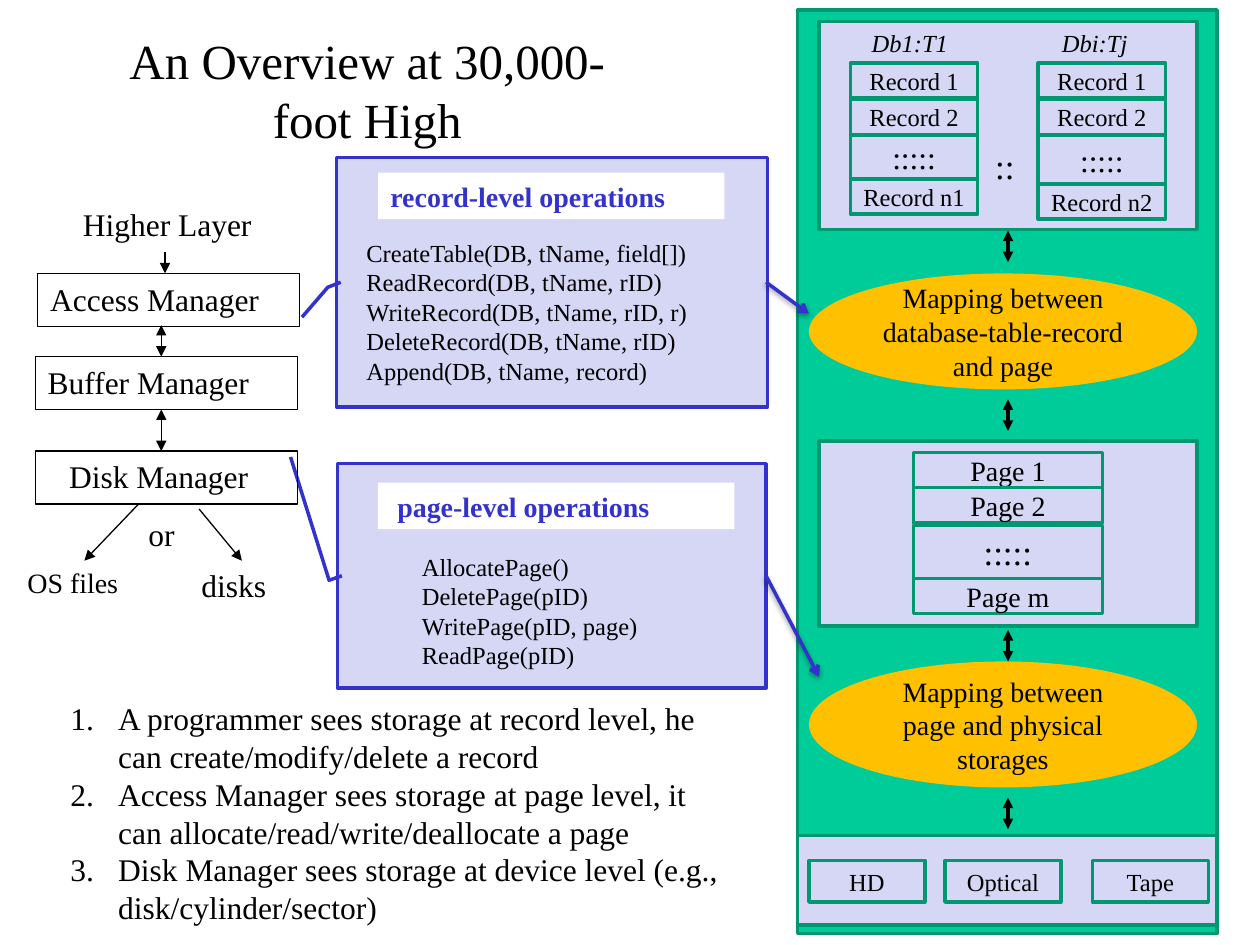
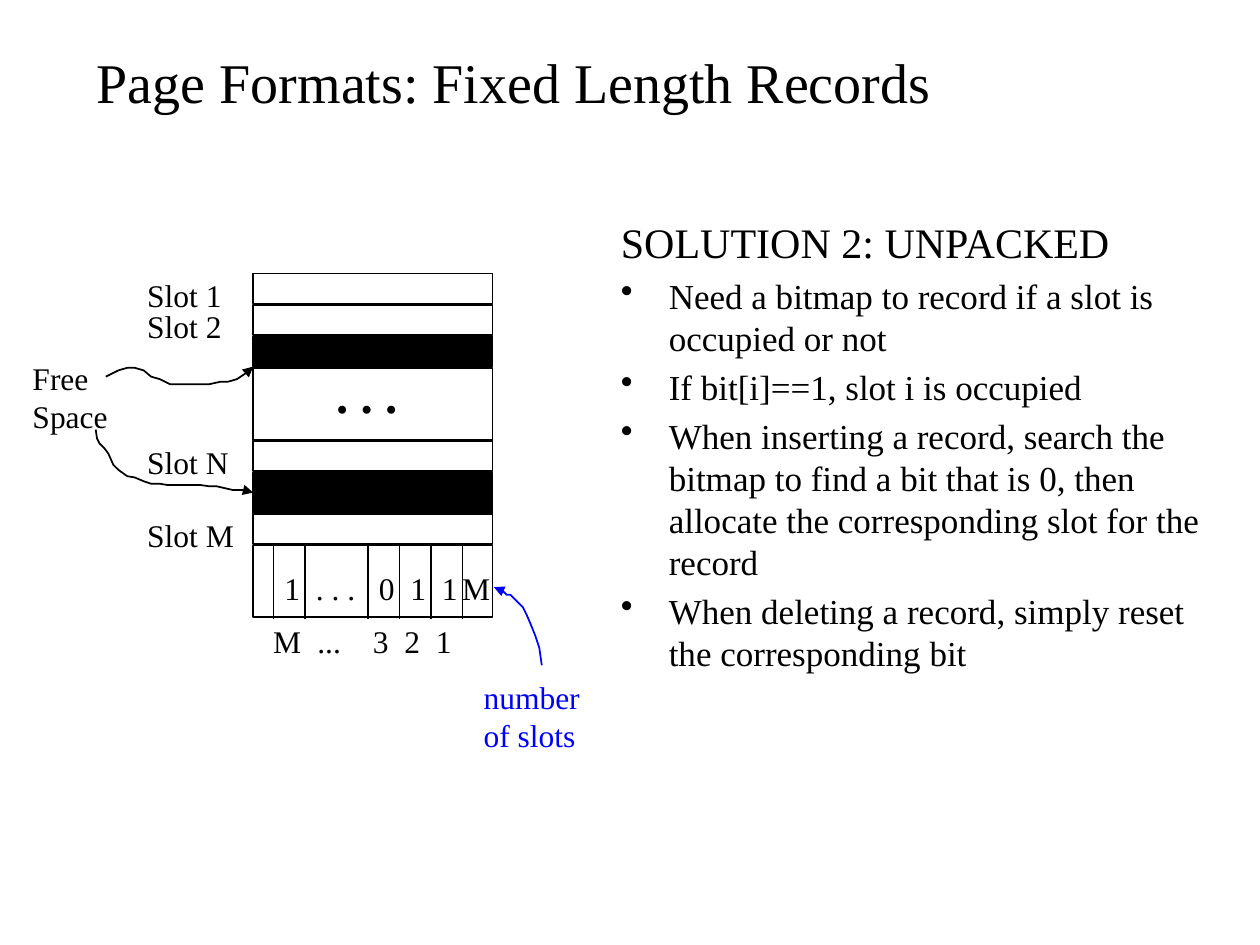
"""Build two slides: a storage overview and a fixed-length page format."""
from itertools import accumulate

from lxml import etree
from pptx import Presentation
from pptx.dml.color import RGBColor
from pptx.enum.shapes import MSO_CONNECTOR, MSO_SHAPE
from pptx.enum.text import MSO_ANCHOR, MSO_AUTO_SIZE, PP_ALIGN
from pptx.oxml import parse_xml
from pptx.oxml.ns import nsdecls, qn
from pptx.util import Pt

SCALE = 9144
FONT = "Times New Roman"
BLACK = RGBColor(0, 0, 0)
WHITE = RGBColor(255, 255, 255)
BLUE = RGBColor(0, 0, 255)
NAVY = RGBColor(0x33, 0x33, 0xCC)
PALE = RGBColor(0xD6, 0xD6, 0xF5)
GREEN = RGBColor(0x00, 0xCC, 0x99)
TEAL = RGBColor(0x00, 0x97, 0x71)
GOLD = RGBColor(0xFF, 0xC0, 0x00)
RECT, OVAL = MSO_SHAPE.RECTANGLE, MSO_SHAPE.OVAL
CALLOUT = MSO_SHAPE.LINE_CALLOUT_2
LEFT, CENTER = PP_ALIGN.LEFT, PP_ALIGN.CENTER
TOP, MIDDLE = MSO_ANCHOR.TOP, MSO_ANCHOR.MIDDLE
NO_FIT, GROW = MSO_AUTO_SIZE.NONE, MSO_AUTO_SIZE.SHAPE_TO_FIT_TEXT
STRAIGHT = MSO_CONNECTOR.STRAIGHT
NUMBER = ("a:buAutoNum", "type", "arabicPeriod")
BULLET = ("a:buChar", "char", "•")
DOTS = ":::::"
SHADE = (
    f'<a:effectLst {nsdecls("a")}><a:outerShdw blurRad="39370" dist="20320" '
    'dir="5400000" rotWithShape="0"><a:srgbClr val="000000">'
    '<a:alpha val="38000"/></a:srgbClr></a:outerShdw></a:effectLst>'
)


def px(*vals):
    """Turn px into EMU."""
    return [val * SCALE for val in vals]


def add_para(frame, words, size, color=BLACK, bold=False, italic=False,
             align=LEFT, mark=None, space=0):
    """Write one paragraph, reusing the frame's first one while it is bare."""
    para = frame.paragraphs[-1]
    if para.runs:
        para = frame.add_paragraph()
    para.alignment = align
    para.space_before = Pt(space)
    if mark:
        tag, key, val = mark
        props = para._p.get_or_add_pPr()
        props.set("marL", str(38 * SCALE))
        props.set("indent", str(-38 * SCALE))
        etree.SubElement(props, qn(tag)).set(key, val)
    run = para.add_run()
    run.text = words
    font = run.font
    font.name, font.size = FONT, Pt(size)
    font.bold, font.italic = bold, italic
    font.color.rgb = color


def add_frame(slide, at, wrap=True, anchor=TOP, fit=NO_FIT):
    """Add an empty text box and return its frame."""
    frame = slide.shapes.add_textbox(*px(*at)).text_frame
    frame.word_wrap, frame.vertical_anchor = wrap, anchor
    frame.auto_size = fit
    return frame


def add_title(slide, at, words, size, align=LEFT):
    """Add the slide title."""
    add_para(add_frame(slide, at, anchor=MIDDLE), words, size, align=align)


def add_label(slide, at, *lines, size=18, **look):
    """Add lines of text that do not wrap."""
    frame = add_frame(slide, at, wrap=False, fit=GROW)
    for line in lines:
        add_para(frame, line, size, **look)
    return frame


def set_paint(shape, fill, line, width):
    """Set fill and line, and drop the shadow."""
    shape.shadow.inherit = False
    if fill is None:
        shape.fill.background()
    else:
        shape.fill.solid()
        shape.fill.fore_color.rgb = fill
    if line is None:
        shape.line.fill.background()
    else:
        shape.line.color.rgb = line
        shape.line.width = Pt(width)


def add_box(slide, at, fill=None, line=TEAL, width=2, kind=RECT,
            words=None, size=14, align=CENTER, **look):
    """Add a preset shape, with text if given."""
    shape = slide.shapes.add_shape(kind, *px(*at))
    set_paint(shape, fill, line, width)
    if words:
        shape.text_frame.word_wrap = True
        shape.text_frame.vertical_anchor = MIDDLE
        add_para(shape.text_frame, words, size, align=align, **look)
    return shape


def add_stack(slide, left, top, width, steps, names, size, big):
    """Pile up boxes, the one with dots being taller."""
    tops = accumulate(steps, initial=top)
    for y, step, name in zip(tops, steps, names):
        high, point = (step, big) if name == DOTS else (28, size)
        add_box(slide, (left, y, width, high), words=name, size=point)


def add_callout(slide, at, bends):
    """Add a framed callout with its bent leader."""
    shape = add_box(slide, at, PALE, NAVY, kind=CALLOUT)
    for i, bend in enumerate(bends):
        shape.adjustments[i] = bend


def add_tips(line, head, tail):
    """Put arrowheads on a line."""
    ends = line.get_or_add_ln()
    for tag, tip in (("a:headEnd", head), ("a:tailEnd", tail)):
        if tip:
            etree.SubElement(ends, qn(tag)).set("type", tip)


def add_link(slide, ends, color=BLACK, width=0.75, head=None,
             tail="triangle", shade=False):
    """Add a straight line or arrow."""
    link = slide.shapes.add_connector(STRAIGHT, *px(*ends))
    link.line.color.rgb = color
    link.line.width = Pt(width)
    add_tips(link, head, tail)
    props = link._element.spPr
    if shade:
        props.append(parse_xml(SHADE))
    else:
        etree.SubElement(props, qn("a:effectLst"))


def add_curve(slide, points, color=BLACK):
    """Add a hand-drawn arrow through the points."""
    trace = slide.shapes.build_freeform(*points[0], scale=SCALE)
    trace.add_line_segments(points[1:], close=False)
    shape = trace.convert_to_shape()
    set_paint(shape, None, color, 1)
    add_tips(shape, None, "triangle")


def add_tabs(para, stops):
    """Set left tab stops."""
    tabs = etree.SubElement(para._p.get_or_add_pPr(), qn("a:tabLst"))
    for stop in stops:
        tab = etree.SubElement(tabs, qn("a:tab"))
        tab.set("pos", str(stop * SCALE))
        tab.set("algn", "l")


def draw_layers(slide):
    """Draw the managers on the left."""
    for at in ((28, 358), (28, 283), (30, 217)):
        add_box(slide, (*at, 208, 42), line=BLACK, width=0.75)
    for at, words, size in (
        ((45, 358, 164, 40), "Disk Manager", 18),
        ((28, 283, 182, 40), "Buffer Manager", 18),
        ((30, 217, 188, 40), "Access Manager", 18),
        ((56, 158, 156, 40), "Higher Layer", 18),
        ((12, 444, 93, 37), "OS files", 16),
        ((150, 444, 72, 40), "disks", 18),
        ((108, 404, 41, 40), "or", 18),
    ):
        add_label(slide, at, words, size=size)
    for ends in ((131, 200, 131, 217), (110, 400, 67, 445), (158, 404, 192, 445)):
        add_link(slide, ends)
    for ends in ((128, 325, 128, 358), (128, 258, 128, 283)):
        add_link(slide, ends, head="triangle")


def draw_calls(slide):
    """Draw the two lists of operations."""
    add_callout(slide, (268, 368, 340, 178), (0.5, 0.01, 0.52, -0.02, -0.03, -0.11))
    add_callout(slide, (267, 125, 342, 198), (0.5, 0.01, 0.52, -0.02, 0.64, -0.08))
    for at, words in (
        ((300, 137, 275, 37), "record-level operations"),
        ((300, 383, 283, 37), " page-level operations"),
    ):
        add_box(slide, at, WHITE, None, words=words, size=16, align=LEFT,
                color=NAVY, bold=True)
    add_label(slide, (281, 184, 277, 128),
              "CreateTable(DB, tName, field[])", "ReadRecord(DB, tName, rID)",
              "WriteRecord(DB, tName, rID, r)", "DeleteRecord(DB, tName, rID)",
              "Append(DB, tName, record)", size=14)
    add_label(slide, (325, 433, 193, 104), "AllocatePage()", "DeletePage(pID)",
              "WritePage(pID, page)", "ReadPage(pID)", size=14)


def draw_store(slide):
    """Draw records, pages and devices on the green panel."""
    for at in ((650, 350, 300, 147), (650, 17, 300, 165)):
        add_box(slide, at, PALE)
    for left, high, last in ((675, 35, "Record n1"), (824, 39, "Record n2")):
        add_stack(slide, left, 50, 101, (29, 28, high, 28),
                  ("Record 1", "Record 2", DOTS, last), 14, 18)
    add_stack(slide, 725, 359, 150, (28, 30, 42, 28),
              ("Page 1", "Page 2", DOTS, "Page m"), 16, 20)
    add_label(slide, (682, 17, 83, 34), "Db1:T1", size=14, italic=True)
    add_label(slide, (833, 17, 72, 34), "Dbi:Tj", size=14, italic=True)
    add_label(slide, (780, 110, 37, 44), "::", size=20)
    for top, high, words in (
        (217, 92, "Mapping between database-table-record and page"),
        (525, 100, "Mapping between page and physical storages"),
    ):
        add_box(slide, (642, top, 308, high), GOLD, None, kind=OVAL,
                words=words, size=16)
    for left, words in ((642, "HD"), (750, "Optical"), (867, "Tape")):
        add_box(slide, (left, 683, 92, 33), PALE, words=words)
    for top in (183, 317, 500, 633):
        add_link(slide, (800, top, 800, top + 25), width=2, head="triangle")


def draw_overview(slide):
    """Draw the overview slide."""
    add_box(slide, (633, 8, 333, 733), GREEN)
    add_box(slide, (633, 663, 333, 71), PALE)
    draw_calls(slide)
    add_title(slide, (83, 25, 417, 92), "An Overview at 30,000-foot High", 28, CENTER)
    draw_layers(slide)
    draw_store(slide)
    for ends in ((608, 224, 642, 249), (608, 457, 650, 537)):
        add_link(slide, ends, NAVY, 2, tail="arrow", shade=True)
    views = add_frame(slide, (46, 550, 545, 192), fit=GROW)
    for words in (
        "A programmer sees storage at record level, he can create/modify/delete a record",
        "Access Manager sees storage at page level, it can allocate/read/write/deallocate a page",
        "Disk Manager sees storage at device level (e.g., disk/cylinder/sector)",
    ):
        add_para(views, words, 18, mark=NUMBER)


def draw_page(slide):
    """Draw the page with its slots and bitmap."""
    highs = (24, 24, 24, 57, 24, 32, 24, 57)
    tops = accumulate((high + 1 for high in highs), initial=217)
    for i, (top, high) in enumerate(zip(tops, highs)):
        add_box(slide, (201, top, 190, high), BLACK if i in (2, 5) else None, BLACK, 1)
    for x in (217, 242, 292, 317, 342, 367):
        add_link(slide, (x, 433, x, 491), width=1, tail=None)
    for x, width, bit in ((216, 33, "1"), (241, 53, ". . ."), (291, 33, "0"),
                          (316, 33, "1"), (341, 33, "1"), (357, 42, "M")):
        add_label(slide, (x, 447, width, 40), bit)
    add_label(slide, (257, 284, 69, 57), ". . .", size=28, bold=True)
    index = add_label(slide, (207, 489, 162, 40), "M\t...\t3\t2\t1")
    add_tabs(index.paragraphs[0], (35, 79, 104, 129))
    for top, width, name in ((214, 80, "1"), (239, 80, "2"),
                             (347, 85, "N"), (405, 89, "M")):
        add_label(slide, (107, top, width, 40), f"Slot {name}")


def draw_format(slide):
    """Draw the page format slide."""
    add_title(slide, (67, 4, 917, 121), "Page Formats: Fixed Length Records", 32)
    draw_page(slide)
    add_label(slide, (16, 280, 80, 70), "Free", "Space")
    add_label(slide, (374, 533, 97, 70), "number", "of slots", color=BLUE)
    add_curve(slide, [(84, 299), (94, 294), (101, 292), (107, 292), (114, 294),
                      (120, 299), (127, 301), (135, 305), (166, 305), (175, 303),
                      (181, 303), (188, 301), (194, 297), (201, 292), (201, 291)])
    add_curve(slide, [(76, 341), (77, 348), (79, 352), (83, 356), (86, 360),
                      (90, 369), (94, 373), (101, 378), (107, 379), (114, 382),
                      (120, 384), (127, 384), (133, 385), (159, 385), (166, 386),
                      (172, 386), (185, 389), (198, 389), (201, 391)])
    add_curve(slide, [(430, 528), (428, 514), (425, 505), (421, 495), (418, 488),
                      (415, 482), (412, 479), (405, 472), (402, 472), (399, 469),
                      (395, 469), (392, 466)], BLUE)
    body = add_frame(slide, (483, 167, 500, 391))
    add_para(body, "SOLUTION 2: UNPACKED", 24, space=4.8)
    for words in (
        "Need a bitmap to record if a slot is occupied or not",
        "If bit[i]==1, slot i is occupied",
        "When inserting a record, search the bitmap to find a bit that is 0, "
        "then allocate the corresponding slot for the record",
        "When deleting a record, simply reset the corresponding bit",
    ):
        add_para(body, words, 20, mark=BULLET, space=4)


def main():
    """Build and save both slides."""
    deck = Presentation()
    deck.slide_width, deck.slide_height = px(1000, 750)
    for draw in (draw_overview, draw_format):
        draw(deck.slides.add_slide(deck.slide_layouts[6]))
    deck.save("out.pptx")


if __name__ == "__main__":
    main()
